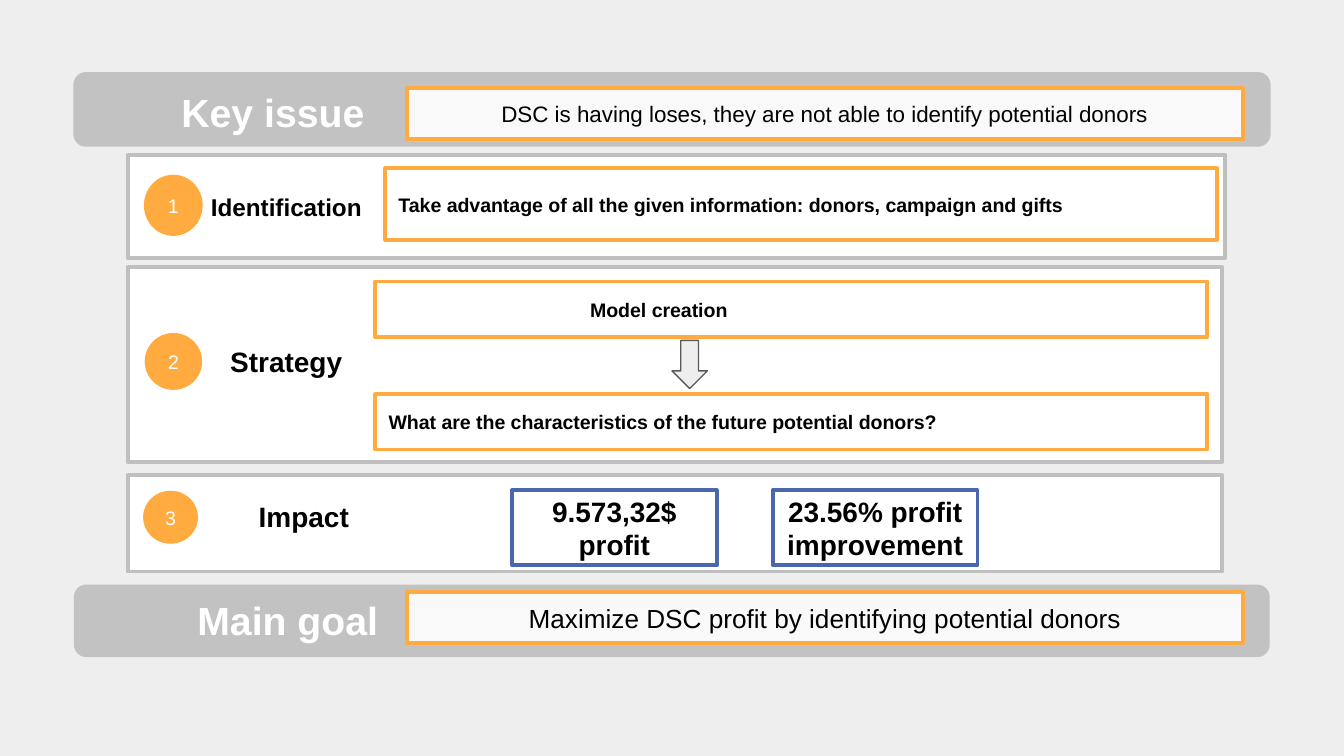
from lxml import etree
from pptx import Presentation
from pptx import util as u
from pptx.dml.color import RGBColor
from pptx.enum import shapes, text
from pptx.oxml.ns import qn

COLORS = {
    "page": "EEEEEE", "white": "FFFFFF", "black": "000000", "band": "C2C2C2",
    "frame": "BFBFBF", "orange": "FFAB40", "blue": "4A66AC", "outline": "595959",
}
KIND = shapes.MSO_SHAPE
ALIGN = text.PP_ALIGN
ANCHOR = text.MSO_ANCHOR


def add_shape(kind, at, fill=None, line=None, width=2, opacity=100):
    """Add a flat shape; at is left, top, width, height in points."""
    box = page.shapes.add_shape(kind, *[u.Pt(value) for value in at])
    box.shadow.inherit = False
    if fill:
        box.fill.solid()
        box.fill.fore_color.rgb = RGBColor.from_string(COLORS[fill])
        if opacity < 100:
            color = box.fill._xPr.find(qn("a:solidFill"))[0]
            etree.SubElement(color, qn("a:alpha"), val=str(opacity * 1000))
    else:
        box.fill.background()
    if line:
        box.line.color.rgb = RGBColor.from_string(COLORS[line])
        box.line.width = u.Pt(width)
    else:
        box.line.fill.background()
    return box


def write(box, words, size, color="black", bold=False, align=ALIGN.CENTER, anchor=ANCHOR.MIDDLE):
    frame = box.text_frame
    frame.word_wrap = True
    frame.vertical_anchor = anchor
    frame.margin_left = frame.margin_right = u.Pt(7.2)
    frame.margin_top = frame.margin_bottom = u.Pt(3.6)
    para = frame.paragraphs[0]
    para.alignment = align
    span = para.add_run()
    span.text = words
    span.font.name = "Arial"
    span.font.size = u.Pt(size)
    span.font.bold = bold
    span.font.color.rgb = RGBColor.from_string(COLORS[color])
    return para


deck = Presentation()
deck.slide_width, deck.slide_height = u.Pt(720), u.Pt(405)
page = deck.slides.add_slide(deck.slide_layouts[6])
page.background.fill.solid()
page.background.fill.fore_color.rgb = RGBColor.from_string(COLORS["page"])

# Grey bands: band place, heading place, heading, message top, message, message size
bands = [
    ((39.3, 38.6, 641.4, 40), (60.5, 43.9), "Key issue", 47.2,
     "DSC is having loses, they are not able to identify potential donors", 12),
    ((39.6, 313.2, 640.6, 38.8), (68.4, 315.7), "Main goal", 317.2,
     "Maximize DSC profit by identifying potential donors", 14),
]
for place, corner, heading, top, message, size in bands:
    band = add_shape(KIND.ROUNDED_RECTANGLE, place, "band")
    band.adjustments[0] = 0.17
    title = page.shapes.add_textbox(*[u.Pt(v) for v in (*corner, 171.4, 32.4)])
    write(title, heading, 21, "white", True, anchor=ANCHOR.TOP)
    box = add_shape(KIND.RECTANGLE, (218, top, 448, 27.4), "white", "orange", opacity=90)
    write(box, message, size)

# White panels: panel place, label place, label, size, anchor, circle place
panels = [
    ((68.4, 83.2, 588, 54.9), (68.4, 99.4, 169.9, 23), "Identification", 13,
     ANCHOR.TOP, (77.6, 94.1, 30.5, 31.8)),
    ((68.4, 143.1, 586.3, 104.6), (68.4, 162, 169.9, 43.9), "Strategy", 15,
     ANCHOR.BOTTOM, (78, 178.9, 29.8, 29.5)),
    ((68.4, 254.6, 586.3, 51.6), (79.9, 264.2, 169.9, 25.2), "Impact ", 15,
     ANCHOR.TOP, (77.2, 263.4, 28.4, 27.4)),
]
for number, (place, label_place, label, size, anchor, circle_place) in enumerate(panels, 1):
    add_shape(KIND.RECTANGLE, place, "white", "frame")
    caption = page.shapes.add_textbox(*[u.Pt(v) for v in label_place])
    write(caption, label, size, bold=True, anchor=anchor)
    circle = add_shape(KIND.OVAL, circle_place, "orange", "orange", 1)
    write(circle, str(number), 10.5, "white")

# Orange statements: place, words, left margin, first-line indent
statements = [
    ((206.4, 90.2, 445.7, 38.4),
     "Take advantage of all the given information: donors, campaign and gifts", 0, 0),
    ((201.1, 150.8, 445.7, 29.8), "Model creation", 72, 36),
    ((201.1, 211, 445.7, 29.8),
     "What are the characteristics of the future potential donors?", 0, 0),
]
for place, words, margin, indent in statements:
    box = add_shape(KIND.RECTANGLE, place, "white", "orange", opacity=90)
    para = write(box, words, 10.5, bold=True, align=ALIGN.LEFT)
    properties = para._p.get_or_add_pPr()
    properties.set("marL", str(u.Pt(margin)))
    properties.set("indent", str(u.Pt(indent)))

add_shape(KIND.DOWN_ARROW, (360, 182.4, 19, 25.8), "page", "outline", 0.75)

for left, words in [(274.3, "9.573,32$ profit"), (414, "23.56% profit improvement")]:
    box = add_shape(KIND.RECTANGLE, (left, 262.6, 109.7, 40.3), "white", "blue", opacity=90)
    write(box, words, 15, bold=True)

deck.save("out.pptx")
